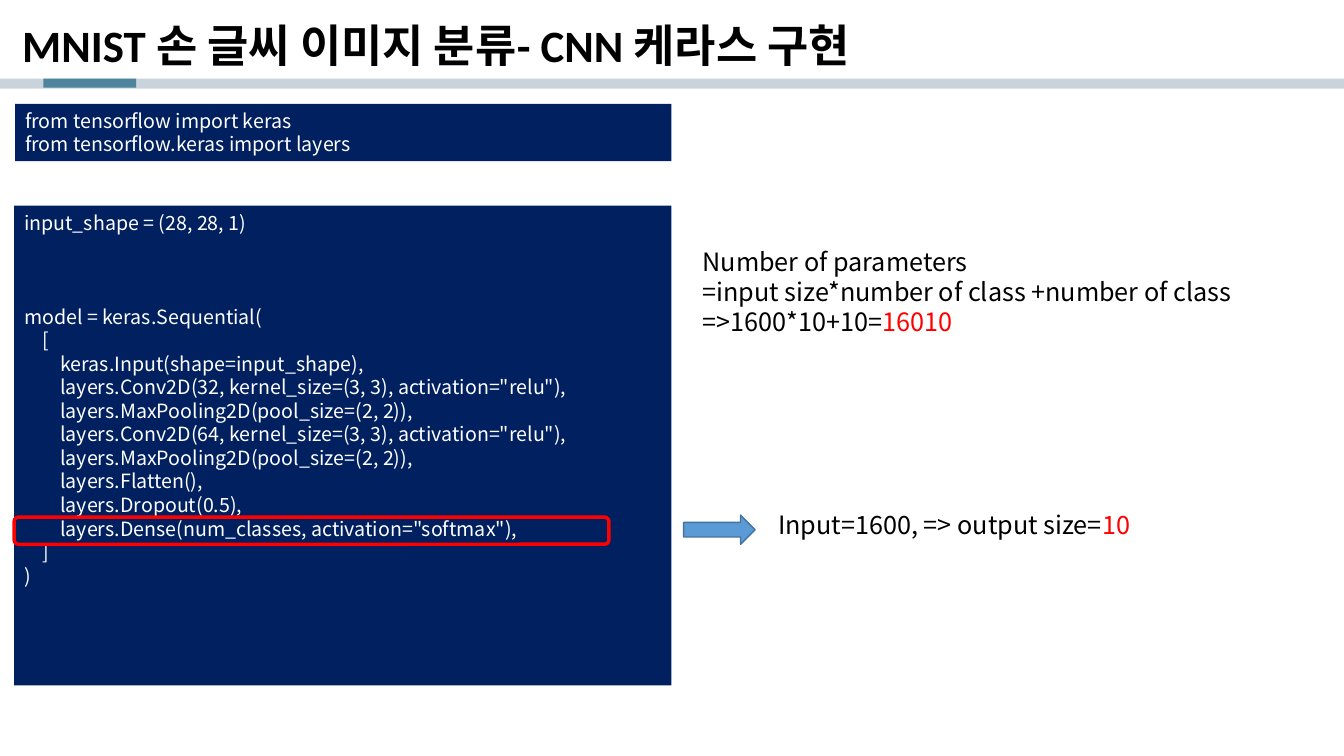
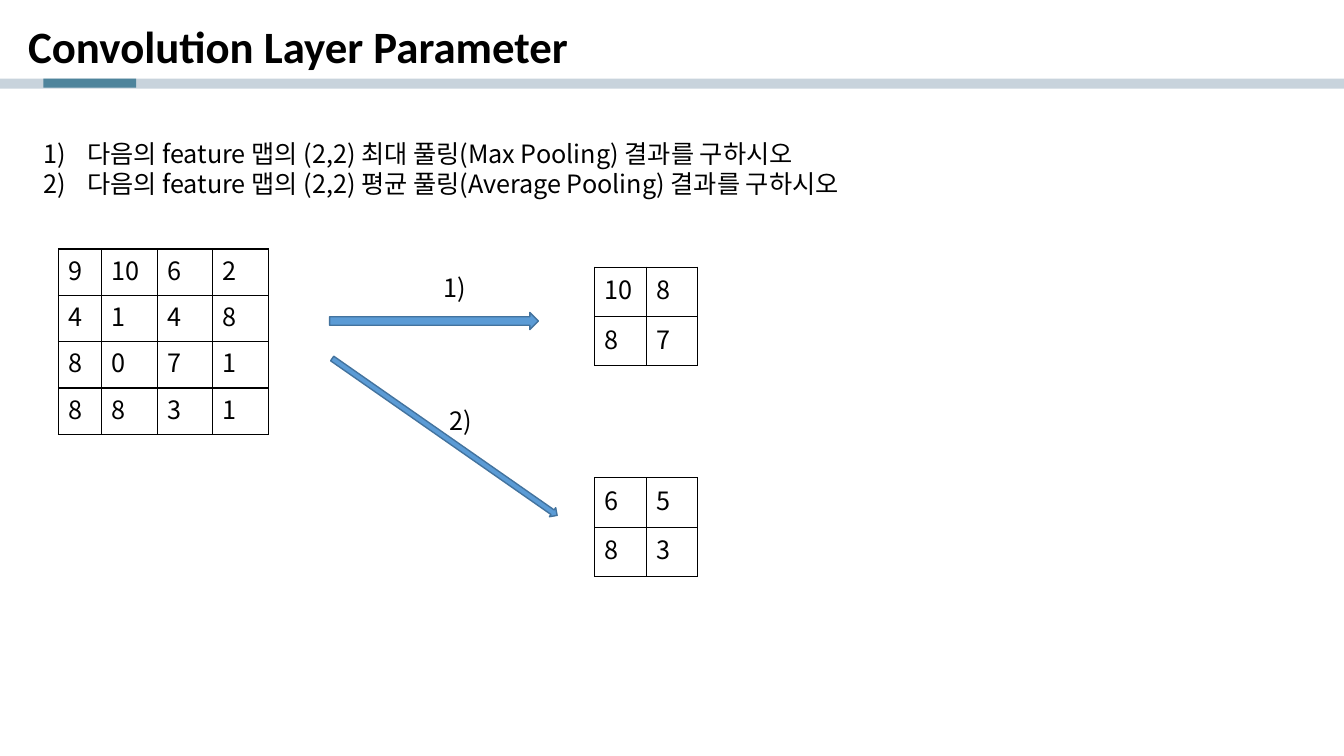
from dataclasses import dataclass

from lxml.etree import SubElement
from pptx import Presentation
from pptx.dml.color import RGBColor
from pptx.enum.shapes import MSO_SHAPE as Shape
from pptx.enum.text import MSO_ANCHOR as Anchor
from pptx.oxml.ns import qn
from pptx.util import Emu, Pt

PX = 9144  # 100 px to the inch
BLANK_LAYOUT = 6


def color(value):
    return RGBColor.from_string(value)


@dataclass(frozen=True)
class Theme:
    title_font: str = "Calibri"
    body_font: str = "Noto Sans CJK KR"
    title_size: int = 32
    body_size: int = 18
    code_size: int = 14
    line_height: float = 1.2
    text: RGBColor = color("000000")
    inverse: RGBColor = color("FFFFFF")
    accent: RGBColor = color("FF0000")
    code_fill: RGBColor = color("002060")
    band: RGBColor = color("C8D3DC")
    band_mark: RGBColor = color("4E849C")
    arrow_fill: RGBColor = color("5B9BD5")
    arrow_line: RGBColor = color("43739E")


THEME = Theme()
CODE_INDENT = 18
LIST_INDENT = 38

IMPORT_LINES = [
    (0, "from tensorflow import keras"),
    (0, "from tensorflow.keras import layers"),
]
INPUT_LINES = [(0, "input_shape = (28, 28, 1)")]
MODEL_LINES = [
    (0, "model = keras.Sequential("),
    (1, "["),
    (2, "keras.Input(shape=input_shape),"),
    (2, 'layers.Conv2D(32, kernel_size=(3, 3), activation="relu"),'),
    (2, "layers.MaxPooling2D(pool_size=(2, 2)),"),
    (2, 'layers.Conv2D(64, kernel_size=(3, 3), activation="relu"),'),
    (2, "layers.MaxPooling2D(pool_size=(2, 2)),"),
    (2, "layers.Flatten(),"),
    (2, "layers.Dropout(0.5),"),
    (2, 'layers.Dense(num_classes, activation="softmax"),'),
    (1, "]"),
    (0, ")"),
]
QUESTIONS = [
    " 다음의 feature 맵의 (2,2) 최대 풀링(Max Pooling) 결과를 구하시오",
    " 다음의 feature 맵의 (2,2) 평균 풀링(Average Pooling) 결과를 구하시오",
]
FEATURE_MAP = [[9, 10, 6, 2], [4, 1, 4, 8], [8, 0, 7, 1], [8, 8, 3, 1]]
MAX_POOLED = [[10, 8], [8, 7]]
AVERAGE_POOLED = [[6, 5], [8, 3]]


def px(*lengths):
    return [Emu(length * PX) for length in lengths]


def set_format(target, values):
    for name, value in values.items():
        setattr(target, name, value)


def add_run(paragraph, text, size, font_color, latin=THEME.body_font, bold=False):
    run = paragraph.add_run()
    run.text = text
    set_format(run.font, {"name": latin, "size": Pt(size), "bold": bold})
    run.font.color.rgb = font_color
    east_asian = SubElement(run._r.get_or_add_rPr(), qn("a:ea"))
    east_asian.set("typeface", THEME.body_font)


def write_lines(frame, lines, size=THEME.body_size, font_color=THEME.text):
    """Write each line, a list of (text, colour or None) parts, as a paragraph."""
    for index, parts in enumerate(lines):
        paragraph = frame.paragraphs[0] if index == 0 else frame.add_paragraph()
        paragraph.line_spacing = Pt(size * THEME.line_height)
        for text, part_color in parts:
            add_run(paragraph, text, size, part_color or font_color)


def add_box(slide, kind, bounds, fill=None, line=None, line_width=1):
    shape = slide.shapes.add_shape(kind, *px(*bounds))
    shape.shadow.inherit = False
    if fill is None:
        shape.fill.background()
    else:
        shape.fill.solid()
        shape.fill.fore_color.rgb = fill
    if line is None:
        shape.line.fill.background()
    else:
        shape.line.color.rgb = line
        shape.line.width = Pt(line_width)
    return shape


def add_text(slide, bounds, lines):
    frame = slide.shapes.add_textbox(*px(*bounds)).text_frame
    frame.word_wrap = True
    write_lines(frame, lines)
    return frame


def add_arrow(slide, bounds, rotation=0):
    arrow = add_box(slide, Shape.RIGHT_ARROW, bounds, THEME.arrow_fill, THEME.arrow_line)
    arrow.rotation = rotation


def add_code(slide, bounds, blocks):
    """Show blocks of (indent level, text) lines, three lines apart."""
    shape = add_box(slide, Shape.RECTANGLE, bounds, THEME.code_fill)
    frame = shape.text_frame
    set_format(frame, {"word_wrap": True, "vertical_anchor": Anchor.TOP})
    lines = [line for block in blocks for line in block]
    write_lines(frame, [[(text, None)] for _, text in lines], THEME.code_size, THEME.inverse)
    for paragraph, (level, _) in zip(frame.paragraphs, lines):
        properties = paragraph._p.get_or_add_pPr()
        properties.set("algn", "l")
        properties.set("marL", str(level * CODE_INDENT * PX))
    start = 0
    for block in blocks[:-1]:
        start += len(block)
        gap = 3 * THEME.code_size * THEME.line_height
        frame.paragraphs[start].space_before = Pt(gap)


def add_numbered_list(slide, bounds, items):
    frame = add_text(slide, bounds, [[(item, None)] for item in items])
    for paragraph in frame.paragraphs:
        properties = paragraph._p.get_or_add_pPr()
        properties.set("marL", str(LIST_INDENT * PX))
        properties.set("indent", str(-LIST_INDENT * PX))
        font = SubElement(properties, qn("a:buFont"))
        font.set("typeface", THEME.body_font)
        SubElement(properties, qn("a:buAutoNum")).set("type", "arabicParenR")


def add_borders(cell):
    properties = cell._tc.get_or_add_tcPr()
    for index, side in enumerate(("lnL", "lnR", "lnT", "lnB")):
        border = SubElement(properties, qn(f"a:{side}"))
        border.set("w", str(Pt(1)))
        solid = SubElement(border, qn("a:solidFill"))
        SubElement(solid, qn("a:srgbClr")).set("val", str(THEME.text))
        properties.insert(index, border)


def add_grid(slide, left, top, values, widths, row_height):
    size = px(left, top, sum(widths), row_height * len(values))
    table = slide.shapes.add_table(len(values), len(widths), *size).table
    set_format(table, {"first_row": False, "horz_banding": False})
    for column, width in zip(table.columns, px(*widths)):
        column.width = width
    for row, row_values in zip(table.rows, values):
        row.height = Emu(row_height * PX)
        for cell, value in zip(row.cells, row_values):
            cell.fill.background()
            cell.vertical_anchor = Anchor.MIDDLE
            write_lines(cell.text_frame, [[(str(value), None)]])
            add_borders(cell)


def add_titled_slide(presentation, title, left, top):
    slide = presentation.slides.add_slide(presentation.slide_layouts[BLANK_LAYOUT])
    add_box(slide, Shape.RECTANGLE, (0, 78, 1333, 10), THEME.band)
    add_box(slide, Shape.RECTANGLE, (43, 78, 92, 9), THEME.band_mark)
    frame = slide.shapes.add_textbox(*px(left, top, 1322, 77)).text_frame
    set_format(frame, {
        "word_wrap": True,
        "vertical_anchor": Anchor.MIDDLE,
        "margin_left": Emu(16 * PX),
    })
    paragraph = frame.paragraphs[0]
    paragraph.line_spacing = 0.9
    add_run(paragraph, title, THEME.title_size, THEME.text, THEME.title_font, True)
    return slide


def add_model_slide(presentation):
    slide = add_titled_slide(presentation, "MNIST 손 글씨 이미지 분류- CNN 케라스 구현", 6, 9)
    add_code(slide, (15, 103, 651, 57), [IMPORT_LINES])
    add_code(slide, (14, 204, 652, 476), [INPUT_LINES, MODEL_LINES])
    add_box(slide, Shape.ROUNDED_RECTANGLE, (14, 513, 590, 27),
            line=THEME.accent, line_width=2.5)
    add_arrow(slide, (678, 511, 71, 29))
    add_text(slide, (762, 500, 400, 40), [
        [("Input=1600, => output size=", None), ("10", THEME.accent)],
    ])
    add_text(slide, (687, 239, 580, 101), [
        [("Number of parameters", None)],
        [("=input size*number of class +number of class", None)],
        [("=>1600*10+10=", None), ("16010", THEME.accent)],
    ])


def add_pooling_slide(presentation):
    slide = add_titled_slide(presentation, "Convolution Layer Parameter", 12, 10)
    add_numbered_list(slide, (33, 132, 900, 71), QUESTIONS)
    add_grid(slide, 58, 247, FEATURE_MAP, [43, 55, 55, 55], 46)
    for top, values in ((265, MAX_POOLED), (474, AVERAGE_POOLED)):
        add_grid(slide, 590, top, values, [51, 51], 49)
    add_arrow(slide, (327, 310, 207, 17))
    add_arrow(slide, (305, 428, 272, 11), 34.9)
    for label, left, top in (("1)", 430, 265), ("2)", 436, 397)):
        add_text(slide, (left, top, 50, 40), [[(label, None)]])


def main():
    presentation = Presentation()
    width, height = px(1333, 750)
    set_format(presentation, {"slide_width": width, "slide_height": height})
    add_model_slide(presentation)
    add_pooling_slide(presentation)
    presentation.save("out.pptx")


if __name__ == "__main__":
    main()
